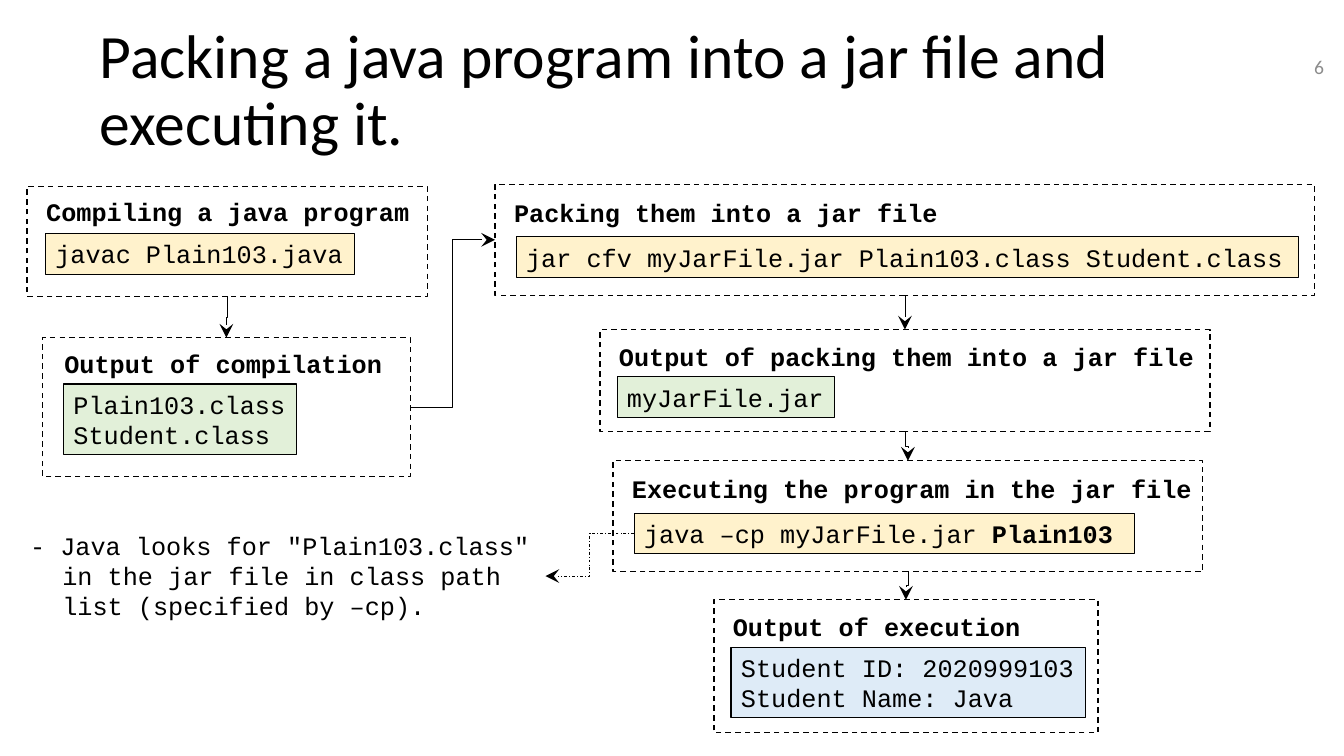
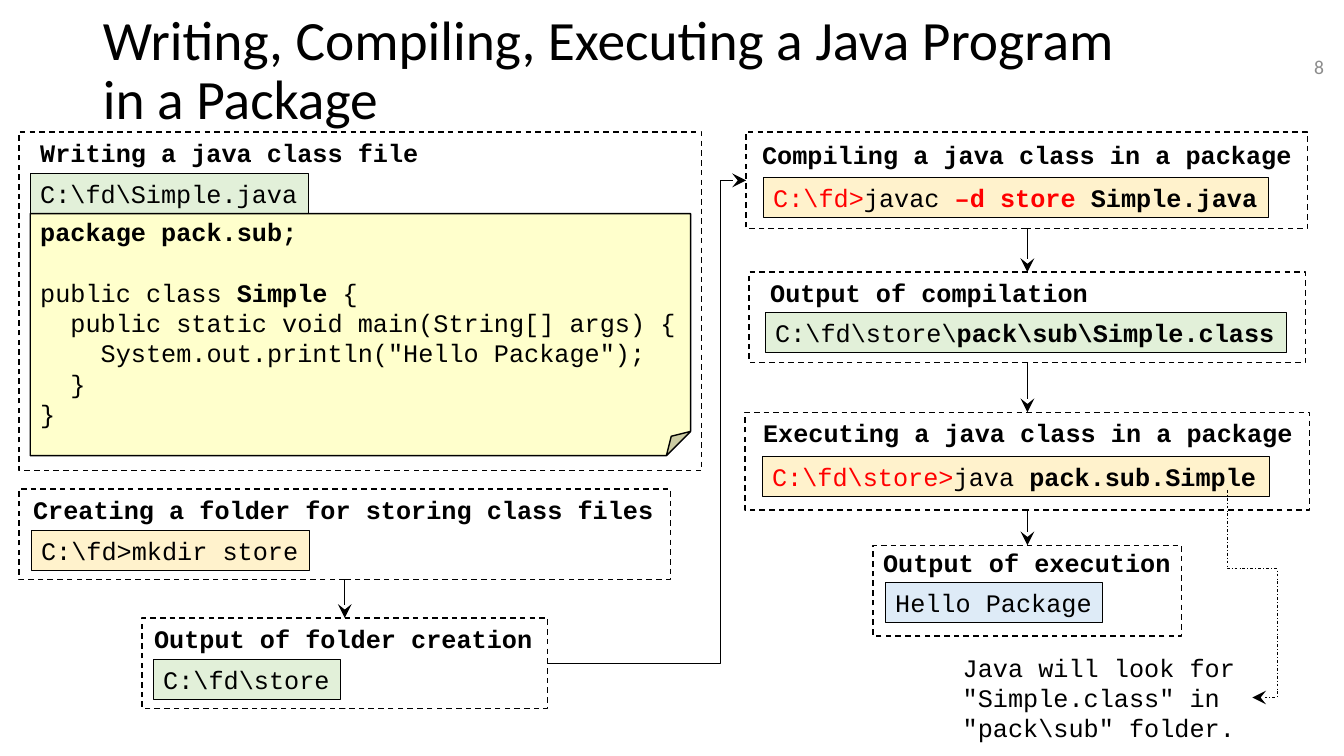
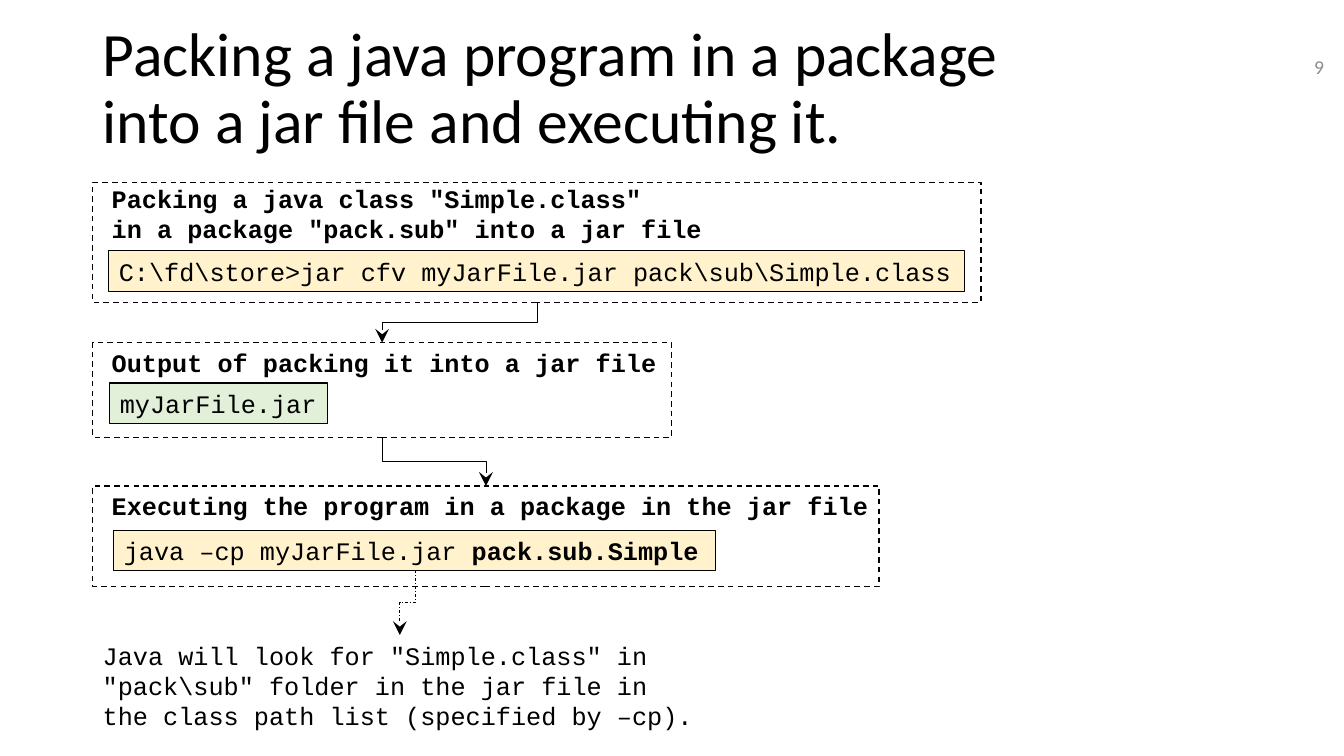
from dataclasses import dataclass

from lxml.etree import SubElement
from pptx import Presentation
from pptx.dml.color import RGBColor
from pptx.enum.dml import MSO_LINE
from pptx.enum.shapes import MSO_CONNECTOR, MSO_SHAPE
from pptx.enum.text import MSO_ANCHOR, PP_ALIGN
from pptx.oxml.ns import qn
from pptx.util import Inches, Pt


@dataclass(frozen=True)
class Theme:
    ink: str = "000000"
    prompt: str = "FF0000"
    number: str = "8C8C8C"
    command: str = "FFF2CC"
    file: str = "E2F0D9"
    output: str = "DEEBF7"
    source: str = "FFFFCC"
    sans: str = "Calibri"
    mono: str = "Courier New"
    title_size: float = 44
    long_title_size: float = 39.6
    code_size: float = 18
    number_size: float = 14
    code_gap: float = 21.8
    frame_line: float = 1
    code_line: float = 0.75
    arrow_line: float = 0.5
    line_height: float = 0.3
    padding: float = 0.1


@dataclass(frozen=True)
class Para:
    spans: tuple
    indent: float = 0
    hanging: float = 0
    before: float = 0


THEME = Theme()
TOP, LEFT, BOTTOM, RIGHT = range(4)
BOLD = {"bold": True}
PROMPT = {"color": THEME.prompt}
FLAG = {"color": THEME.prompt, "bold": True}


def rgb(value):
    return RGBColor.from_string(value)


def style_span(span, color=THEME.ink, **formats):
    settings = {"name": THEME.mono, "size": Pt(THEME.code_size), **formats}
    for name, value in settings.items():
        setattr(span.font, name, value)
    span.font.color.rgb = rgb(color)


def as_paras(content):
    if isinstance(content, str):
        return [Para(((line, {}),)) for line in content.split("\n")]
    if isinstance(content, tuple):
        return [Para(content)]
    return content


def write(box, content, align=PP_ALIGN.LEFT, anchor=MSO_ANCHOR.TOP,
          wrap=True, **formats):
    frame = box.text_frame
    frame.word_wrap = wrap
    frame.vertical_anchor = anchor
    for index, item in enumerate(as_paras(content)):
        para = frame.add_paragraph() if index else frame.paragraphs[0]
        para.alignment = align
        if item.before:
            para.space_before = Pt(item.before)
        if item.indent:
            properties = para._p.get_or_add_pPr()
            properties.set("marL", str(Inches(item.indent)))
            properties.set("indent", str(-Inches(item.hanging)))
        for words, style in item.spans:
            span = para.add_run()
            span.text = words
            style_span(span, **{**formats, **style})


def text_height(content):
    return THEME.padding + THEME.line_height * len(as_paras(content))


def add_box(shapes, kind, area, line_width, fill=None, dash=None):
    box = shapes.add_shape(kind, *map(Inches, area))
    box.shadow.inherit = False
    if fill:
        box.fill.solid()
        box.fill.fore_color.rgb = rgb(fill)
    else:
        box.fill.background()
    box.line.color.rgb = rgb(THEME.ink)
    box.line.width = Pt(line_width)
    if dash:
        box.line.dash_style = dash
    return box


def add_text(shapes, area, content, **formats):
    box = shapes.add_textbox(*map(Inches, area))
    write(box, content, **formats)
    return box


def add_note(page, left, top, width, content):
    area = (left, top, width, 1.01)
    return add_text(page.shapes, area, content)


def add_stage(page, frame_area, heading_area, heading, code_area, code, fill):
    shapes = page.shapes.add_group_shape().shapes
    code_box = add_box(shapes, MSO_SHAPE.RECTANGLE,
                       (*code_area, text_height(code)), THEME.code_line, fill)
    write(code_box, code, wrap=False)
    add_text(shapes, (*heading_area, text_height(heading)), heading, **BOLD)
    frame = add_box(shapes, MSO_SHAPE.RECTANGLE, frame_area,
                    THEME.frame_line, dash=MSO_LINE.DASH)
    return frame, code_box


def style_arrow(arrow, dash=None):
    arrow.line.color.rgb = rgb(THEME.ink)
    arrow.line.width = Pt(THEME.arrow_line)
    if dash:
        arrow.line.dash_style = dash
    SubElement(arrow.line._get_or_add_ln(), qn("a:tailEnd"),
               type="stealth", w="lg", len="lg")
    SubElement(arrow._element.spPr, qn("a:effectLst"))


def set_guides(shape, preset, **guides):
    geometry = shape._element.spPr.find(qn("a:prstGeom"))
    geometry.set("prst", preset)
    guide_list = geometry.find(qn("a:avLst"))
    for name, value in guides.items():
        SubElement(guide_list, qn("a:gd"), name=name,
                   fmla=f"val {round(value * 100000)}")


def turn_down(arrow):
    across = arrow.end_x - arrow.begin_x
    down = arrow.end_y - arrow.begin_y
    middle_x = (arrow.begin_x + arrow.end_x) // 2
    middle_y = (arrow.begin_y + arrow.end_y) // 2
    area = {"width": down, "height": abs(across),
            "left": middle_x - down // 2, "top": middle_y - abs(across) // 2}
    for name, value in area.items():
        setattr(arrow, name, value)
    turn = {"rot": "5400000", "flipH": "0", "flipV": str(int(across > 0))}
    for name, value in turn.items():
        arrow._element.spPr.find(qn("a:xfrm")).set(name, value)


def join(page, first, first_side, second, second_side, dash=None):
    arrow = page.shapes.add_connector(MSO_CONNECTOR.ELBOW, 0, 0, 0, 0)
    arrow.begin_connect(first, first_side)
    arrow.end_connect(second, second_side)
    if first_side == BOTTOM:
        turn_down(arrow)
    style_arrow(arrow, dash)
    return arrow


def join_down(page, *boxes):
    for upper, lower in zip(boxes, boxes[1:]):
        join(page, upper, BOTTOM, lower, TOP)


def add_page(deck, title, title_area, number, title_size=THEME.title_size):
    page = deck.slides.add_slide(deck.slide_layouts[5])
    box = page.shapes.title
    for name, value in zip(("left", "top", "width", "height"), title_area):
        setattr(box, name, Inches(value))
    box.text_frame.vertical_anchor = MSO_ANCHOR.MIDDLE
    para = box.text_frame.paragraphs[0]
    para.text = title
    para.alignment = PP_ALIGN.LEFT
    para.line_spacing = 0.9
    for span in para.runs:
        style_span(span, name=THEME.sans, size=Pt(title_size))
    for line_break in para._p.findall(qn("a:br")):
        SubElement(line_break, qn("a:rPr"), sz=str(round(title_size * 100)))
    add_text(page.shapes, (12.78, 0.46, 0.45, 0.4), number,
             align=PP_ALIGN.RIGHT, anchor=MSO_ANCHOR.MIDDLE, name=THEME.sans,
             size=Pt(THEME.number_size), color=THEME.number)
    return page


def build_jar_page(deck):
    page = add_page(
        deck, "Packing a java program into a jar file and executing it.",
        (0.89, 0.19, 11.74, 1.45), "6")
    compiling, _ = add_stage(
        page, (0.27, 1.85, 3.97, 1.09),
        (0.36, 1.9, 3.88), "Compiling a java program",
        (0.45, 2.32, 3.07), "javac Plain103.java", THEME.command)
    compiled, _ = add_stage(
        page, (0.42, 3.35, 3.65, 1.38),
        (0.54, 3.41, 3.44), "Output of compilation",
        (0.63, 3.81, 2.31), "Plain103.class\nStudent.class", THEME.file)
    packing, _ = add_stage(
        page, (4.91, 1.83, 8.13, 1.1),
        (5, 1.91, 4.62), "Packing them into a jar file",
        (5.12, 2.35, 7.76),
        "jar cfv myJarFile.jar Plain103.class Student.class", THEME.command)
    packed, _ = add_stage(
        page, (5.95, 3.27, 6.05, 1.01),
        (6.04, 3.34, 5.96), "Output of packing them into a jar file",
        (6.12, 3.74, 2.16), "myJarFile.jar", THEME.file)
    executing, command = add_stage(
        page, (6.08, 4.57, 5.85, 1.1),
        (6.17, 4.65, 5.76), "Executing the program in the jar file",
        (6.29, 5.09, 4.96),
        (("java –cp myJarFile.jar ", {}), ("Plain103", BOLD)), THEME.command)
    executed, _ = add_stage(
        page, (7.08, 5.95, 3.81, 1.32),
        (7.17, 6.02, 3.08), "Output of execution",
        (7.25, 6.42, 3.52), "Student ID: 2020999103\nStudent Name: Java",
        THEME.output)
    note = add_note(page, 0.2, 5.21, 5.21, [Para(
        (('- Java looks for "Plain103.class" in the jar file in class path '
          'list (specified by –cp).', {}),), indent=0.32, hanging=0.32)])
    join_down(page, compiling, compiled)
    join(page, compiled, RIGHT, packing, LEFT)
    join_down(page, packing, packed, executing, executed)
    join(page, command, LEFT, note, RIGHT, MSO_LINE.DASH_DOT)


def build_package_page(deck):
    page = add_page(
        deck, "Writing, Compiling, Executing a Java Program \nin a Package",
        (0.92, 0.18, 11.5, 1.07), "8", THEME.long_title_size)
    add_stage(
        page, (0.19, 1.31, 6.77, 3.36),
        (0.3, 1.31, 4.04), "Writing a java class file",
        (0.3, 1.72, 2.76), "C:\\fd\\Simple.java", THEME.file)
    source = add_box(page.shapes, MSO_SHAPE.FOLDED_CORNER,
                     (0.3, 2.12, 6.55, 2.4), THEME.frame_line, THEME.source)
    set_guides(source, "foldedCorner", adj=0.1)
    write(source, [
        Para((("package pack.sub;", BOLD),)),
        Para((("public class ", {}), ("Simple", BOLD), (" {", {})),
             before=THEME.code_gap),
        Para((("public static void main(String[] args) {", {}),), indent=0.3),
        Para((('System.out.println("Hello Package");', {}),), indent=0.6),
        Para((("}", {}),), indent=0.3),
        Para((("}", {}),)),
    ], anchor=MSO_ANCHOR.MIDDLE)
    creating, _ = add_stage(
        page, (0.19, 4.85, 6.46, 0.9),
        (0.23, 4.85, 6.38), "Creating a folder for storing class files",
        (0.31, 5.26, 2.76), "C:\\fd>mkdir store", THEME.command)
    created, _ = add_stage(
        page, (1.41, 6.13, 4.02, 0.9),
        (1.43, 6.13, 4), "Output of folder creation",
        (1.52, 6.54, 1.86), "C:\\fd\\store", THEME.file)
    compiling, _ = add_stage(
        page, (7.4, 1.31, 5.57, 0.96),
        (7.46, 1.33, 5.52), "Compiling a java class in a package",
        (7.57, 1.76, 5.01),
        (("C:\\fd>", PROMPT), ("javac ", {}), ("–d store ", FLAG),
         ("Simple.java", BOLD)), THEME.command)
    compiled, _ = add_stage(
        page, (7.43, 2.7, 5.52, 0.9),
        (7.54, 2.7, 3.43), "Output of compilation",
        (7.59, 3.1, 5.17),
        (("C:\\fd\\store\\", {}), ("pack\\sub\\Simple.class", BOLD)),
        THEME.file)
    executing, _ = add_stage(
        page, (7.39, 4.09, 5.6, 0.97),
        (7.47, 4.09, 5.52), "Executing a java class in a package",
        (7.56, 4.53, 5.03),
        (("C:\\fd\\store>", PROMPT), ("java ", {}), ("pack.sub.Simple", BOLD)),
        THEME.command)
    executed, _ = add_stage(
        page, (8.66, 5.41, 3.06, 0.9),
        (8.66, 5.38, 3.08), "Output of execution",
        (8.78, 5.78, 2.16), "Hello Package", THEME.output)
    add_note(page, 9.45, 6.42, 2.97,
             'Java will look for "Simple.class" in "pack\\sub" folder.')
    join_down(page, creating, created)
    across = join(page, created, RIGHT, compiling, LEFT)
    set_guides(across, "bentConnector3", adj1=0.87)
    join_down(page, compiling, compiled, executing, executed)
    lookup = page.shapes.add_connector(
        MSO_CONNECTOR.ELBOW, *map(Inches, (12.17, 4.86, 12.42, 6.92)))
    turn_down(lookup)
    set_guides(lookup, "bentConnector4", adj1=0.38, adj2=1.98)
    style_arrow(lookup, MSO_LINE.DASH_DOT)


def build_package_jar_page(deck):
    page = add_page(
        deck,
        "Packing a java program in a package \n"
        "into a jar file and executing it.",
        (0.92, 0.17, 11.74, 1.45), "9")
    packing, _ = add_stage(
        page, (0.92, 1.81, 8.81, 1.19),
        (1.01, 1.77, 6.18),
        'Packing a java class "Simple.class"\n'
        'in a package "pack.sub" into a jar file',
        (1.08, 2.49, 8.49),
        "C:\\fd\\store>jar cfv myJarFile.jar pack\\sub\\Simple.class",
        THEME.command)
    packed, _ = add_stage(
        page, (0.92, 3.4, 5.74, 0.94),
        (1.01, 3.4, 5.64), "Output of packing it into a jar file",
        (1.09, 3.8, 2.16), "myJarFile.jar", THEME.file)
    executing, command = add_stage(
        page, (0.92, 4.82, 7.8, 1),
        (1.01, 4.82, 7.84),
        "Executing the program in a package in the jar file",
        (1.13, 5.26, 5.97),
        (("java –cp myJarFile.jar ", {}), ("pack.sub.Simple", BOLD)),
        THEME.command)
    note = add_note(
        page, 0.92, 6.3, 6.09,
        'Java will look for "Simple.class" in "pack\\sub" folder in the jar '
        'file in the class path list (specified by –cp).')
    join_down(page, packing, packed, executing)
    join(page, command, BOTTOM, note, TOP, MSO_LINE.DASH_DOT)


def main():
    deck = Presentation()
    deck.slide_width = Inches(13.33)
    deck.slide_height = Inches(7.5)
    build_jar_page(deck)
    build_package_page(deck)
    build_package_jar_page(deck)
    deck.save("out.pptx")


if __name__ == "__main__":
    main()
